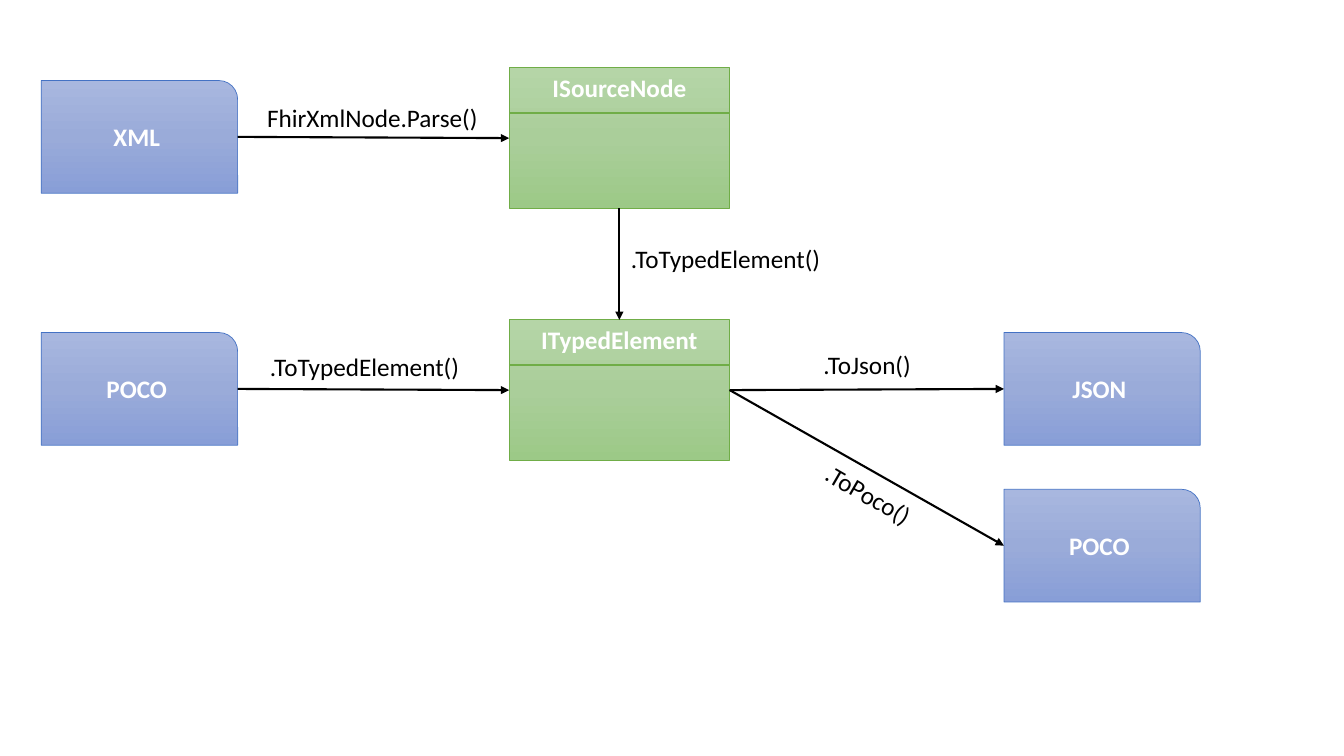
from copy import deepcopy
from pptx import Presentation
from pptx.dml.color import RGBColor
from pptx.enum.shapes import MSO_CONNECTOR, MSO_SHAPE
from pptx.enum.text import MSO_ANCHOR, MSO_AUTO_SIZE, PP_ALIGN
from pptx.oxml.ns import qn
from pptx.oxml.xmlchemy import OxmlElement
from pptx.util import Cm, Pt

HUES = {
    "blue": ("A8B7DF", "9AABD9", "889ED7"),
    "green": ("B5D5A7", "AACE9A", "9CC987"),
    "blue edge": "4472C4",
    "green edge": "70AD47",
    "black": "000000",
    "white": "FFFFFF",
}
TOP, LEFT, BASE, RIGHT = range(4)


def tint(name):
    return RGBColor.from_string(HUES[name])


def write(shape, text, hue, bold=False):
    para = shape.text_frame.paragraphs[0]
    para.text = text
    font = para.runs[0].font
    font.name, font.size, font.bold = "Calibri", Pt(18), bold
    font.color.rgb = tint(hue)
    return para


def block(shapes, kind, box, text, hue, anchor):
    shape = shapes.add_shape(kind, *map(Cm, box))
    shape.shadow.inherit = False
    fill = shape.fill
    fill.gradient()
    fill.gradient_angle = 270
    stops = next(shape._element.spPr.iter(qn("a:gsLst")))
    stops.insert(1, deepcopy(stops[0]))
    for stop, place, code in zip(fill.gradient_stops, (0, 0.5, 1), HUES[hue]):
        stop.position = place
        stop.color.rgb = RGBColor.from_string(code)
    shape.line.color.rgb = tint(hue + " edge")
    shape.line.width = Pt(0.5)
    shape.text_frame.vertical_anchor = anchor
    write(shape, text, "white", True).alignment = PP_ALIGN.CENTER
    return shape


def stroke(shapes, hue, width, ends=(0, 0, 0, 0)):
    line = shapes.add_connector(MSO_CONNECTOR.STRAIGHT, *map(Cm, ends))
    line.line.color.rgb = tint(hue)
    line.line.width = Pt(width)
    line._element.spPr.append(OxmlElement("a:effectLst"))
    return line


def card(slide, box, text):
    return block(slide.shapes, MSO_SHAPE.ROUND_1_RECTANGLE, box, text,
                 "blue", MSO_ANCHOR.MIDDLE)


def node(slide, box, text):
    shapes = slide.shapes.add_group_shape().shapes
    shape = block(shapes, MSO_SHAPE.RECTANGLE, box, text,
                  "green", MSO_ANCHOR.TOP)
    left, top, width, _ = box
    rule = top + 1.14
    stroke(shapes, "green edge", 1, (left, rule, left + width, rule))
    return shape


def link(slide, start, exit, end, entry):
    line = stroke(slide.shapes, "black", 1.5)
    line.begin_connect(start, exit)
    line.end_connect(end, entry)
    head = OxmlElement("a:tailEnd")
    head.set("type", "triangle")
    line.line._get_or_add_ln().append(head)


def label(slide, box, text, turn=0):
    shape = slide.shapes.add_textbox(*map(Cm, box))
    shape.rotation = turn
    shape.text_frame.word_wrap = False
    shape.text_frame.auto_size = MSO_AUTO_SIZE.SHAPE_TO_FIT_TEXT
    write(shape, text, "black")


def chart_flow(slide):
    west, mid, east = 1.04, 12.83, 25.3
    size, frame = (4.95, 2.84), (5.56, 3.54)
    xml = card(slide, (west, 2.03, *size), "XML")
    poco = card(slide, (west, 8.38, *size), "POCO")
    json = card(slide, (east, 8.38, *size), "JSON")
    out = card(slide, (east, 12.33, *size), "POCO")
    source = node(slide, (mid, 1.71, *frame), "ISourceNode")
    typed = node(slide, (mid, 8.06, *frame), "ITypedElement")

    for ends in (
        (xml, RIGHT, source, LEFT),
        (source, BASE, typed, TOP),
        (poco, RIGHT, typed, LEFT),
        (typed, RIGHT, json, LEFT),
        (typed, RIGHT, out, LEFT),
    ):
        link(slide, *ends)

    for left, top, width, text, turn in (
        (6.48, 2.46, 5.87, "FhirXmlNode.Parse()", 0),
        (15.65, 6, 5.33, ".ToTypedElement()", 0),
        (6.55, 8.72, 5.33, ".ToTypedElement()", 0),
        (20.5, 8.67, 2.74, ".ToJson()", 0),
        (20.47, 11.96, 2.87, ".ToPoco()", 30.1),
    ):
        label(slide, (left, top, width, 1.03), text, turn)


deck = Presentation()
deck.slide_width, deck.slide_height = Cm(33.87), Cm(19.05)
chart_flow(deck.slides.add_slide(deck.slide_layouts[6]))
deck.save("out.pptx")
